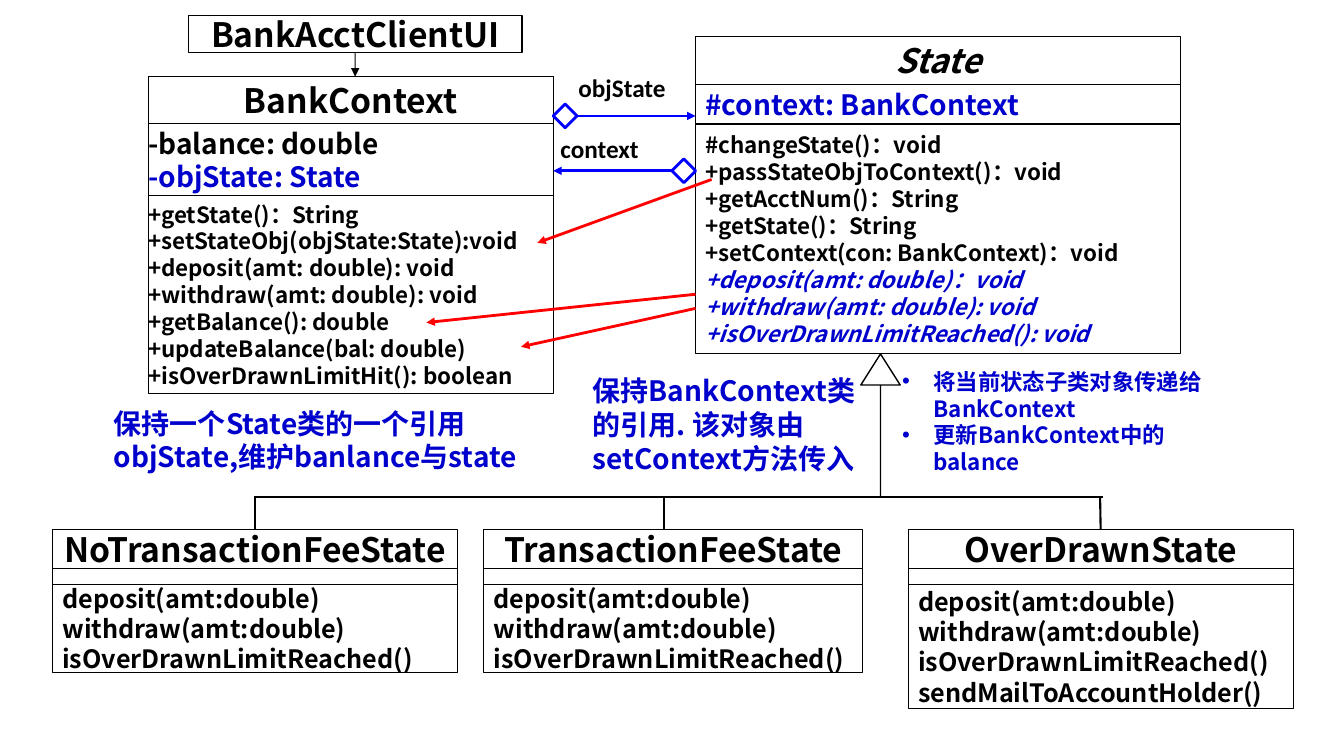
from lxml.etree import SubElement
from pptx import Presentation
from pptx.dml.color import RGBColor
from pptx.enum.shapes import MSO_CONNECTOR, MSO_SHAPE
from pptx.enum.text import MSO_ANCHOR, MSO_AUTO_SIZE, PP_ALIGN
from pptx.oxml.ns import qn
from pptx.util import Pt

COLORS = {
    "black": "000000",
    "white": "FFFFFF",
    "note": "0000CC",
    "reference": "0000FF",
    "call": "FF0000",
}
SANS = "Noto Sans CJK SC"
BOTTOM, LEFT, RIGHT, TOP = 2, 1, 3, 0
SUBCLASS_TOP = 378
BRANCH_Y = 355


def color_of(name):
    return RGBColor.from_string(COLORS[name])


def write(box, text, size, color="black", italic=False, align=PP_ALIGN.LEFT, font=SANS, bullet=False):
    frame = box.text_frame
    for line in text.split("\n"):
        para = frame.paragraphs[-1]
        if para.runs:
            para = frame.add_paragraph()
        para.alignment = align
        if bullet:
            properties = para._p.get_or_add_pPr()
            properties.set("marL", str(Pt(22.5)))
            properties.set("indent", str(-Pt(22.5)))
            SubElement(properties, qn("a:buFont"), typeface="Arial")
            SubElement(properties, qn("a:buChar"), char="•")
        span = para.add_run()
        span.text = line
        span.font.size = Pt(size)
        span.font.bold = True
        span.font.italic = italic
        span.font.color.rgb = color_of(color)
        span.font.name = font
        SubElement(span._r.get_or_add_rPr(), qn("a:ea"), typeface=font)


def add_shape(page, kind, left, top, width, height, line="black", weight=0.75):
    shape = page.shapes.add_shape(kind, Pt(left), Pt(top), Pt(width), Pt(height))
    shape.shadow.inherit = False
    shape.fill.solid()
    shape.fill.fore_color.rgb = color_of("white")
    shape.line.color.rgb = color_of(line)
    shape.line.width = Pt(weight)
    return shape


def add_compartment(page, left, top, width, height, inset=7.2):
    box = add_shape(page, MSO_SHAPE.RECTANGLE, left, top, width, height)
    frame = box.text_frame
    frame.word_wrap = False
    frame.vertical_anchor = MSO_ANCHOR.MIDDLE
    frame.margin_left = frame.margin_right = Pt(inset)
    return box


def add_class(page, name, left, top, width, heights, inset=7.2, italic=False):
    boxes = []
    for height in heights:
        boxes.append(add_compartment(page, left, top, width, height, inset))
        top += height
    write(boxes[0], name, 24, italic=italic, align=PP_ALIGN.CENTER)
    return boxes


def add_text(page, left, top, width, height, inset=7.2, padding=3.6, wrap=True, filled=False):
    box = page.shapes.add_textbox(Pt(left), Pt(top), Pt(width), Pt(height))
    frame = box.text_frame
    frame.word_wrap = wrap
    frame.auto_size = MSO_AUTO_SIZE.SHAPE_TO_FIT_TEXT
    frame.margin_left = frame.margin_right = Pt(inset)
    frame.margin_top = frame.margin_bottom = Pt(padding)
    if filled:
        box.fill.solid()
        box.fill.fore_color.rgb = color_of("white")
    return box


def add_line(page, start, end, color="black", weight=1.5, arrow=False, begin=None):
    line = page.shapes.add_connector(MSO_CONNECTOR.STRAIGHT, *map(Pt, start + end))
    line.line.color.rgb = color_of(color)
    line.line.width = Pt(weight)
    if arrow:
        SubElement(line.line._get_or_add_ln(), qn("a:tailEnd"), type="triangle")
    SubElement(line._element.spPr, qn("a:effectLst"))
    if begin:
        line.begin_connect(*begin)


def add_reference(page, diamond_left, middle, end_x, side):
    diamond = add_shape(page, MSO_SHAPE.DIAMOND, diamond_left, middle - 8.5, 17, 17, "reference", 2)
    start_x = diamond_left + (17 if side == RIGHT else 0)
    add_line(page, (start_x, middle), (end_x, middle), "reference", 2, True, (diamond, side))


def add_subclass(page, name, left, width, branch_x, methods):
    height = 88.6 if methods.count("\n") == 3 else 62.6
    header, _, body = add_class(page, name, left, SUBCLASS_TOP, width, (28.1, 11.5, height))
    write(body, methods, 18)
    centered = abs(left + width / 2 - branch_x) < 1
    add_line(page, (branch_x, SUBCLASS_TOP), (branch_x, BRANCH_Y),
             begin=(header, TOP) if centered else None)


def add_notes(page):
    state_note = add_text(page, 423.4, 263.5, 198.7, 80, inset=0, filled=True)
    write(state_note, "保持BankContext类\n的引用. 该对象由setContext方法传入", 20, "note")
    context_note = add_text(page, 74.2, 286.6, 306.7, 55.4, filled=True)
    write(context_note, "保持一个State类的一个引用objState,维护banlance与state", 20, "note")
    duties = add_text(page, 644.4, 259.2, 236.9, 85, inset=0)
    write(duties, "将当前状态子类对象传递给BankContext\n更新BankContext中的balance", 16, "note", bullet=True)


def add_context(page):
    client = add_compartment(page, 134.6, 11.3, 238.3, 26.2)
    write(client, "BankAcctClientUI", 24, align=PP_ALIGN.CENTER)
    _, fields, methods = add_class(page, "BankContext", 105.8, 54.7, 289.4, (33.8, 51.1, 141.8), inset=0)
    write(fields, "-balance: double", 20)
    write(fields, "-objState: State", 20, "note")
    write(methods, "+getState()：String\n+setStateObj(objState:State):void\n"
          "+deposit(amt: double): void\n+withdraw(amt: double): void\n"
          "+getBalance(): double\n+updateBalance(bal: double)\n"
          "+isOverDrawnLimitHit(): boolean", 16)
    add_line(page, (253.7, 37.5), (253.7, 54.7), weight=0.75, arrow=True, begin=(client, BOTTOM))


def add_state(page):
    _, field, methods = add_class(page, "State", 496.8, 25.9, 346.3, (34.6, 28.1, 164.2), italic=True)
    write(field, "#context: BankContext", 20, "note")
    write(methods, "#changeState()：void\n+passStateObjToContext()：void\n"
          "+getAcctNum()：String\n+getState()：String\n"
          "+setContext(con: BankContext)：void", 16)
    write(methods, "+deposit(amt: double)：void\n+withdraw(amt: double): void\n"
          "+isOverDrawnLimitReached(): void", 16, "note", italic=True)


def add_hierarchy(page):
    methods = "deposit(amt:double)\nwithdraw(amt:double)\nisOverDrawnLimitReached()"
    add_line(page, (181.4, BRANCH_Y), (787.7, BRANCH_Y))
    arrow = add_shape(page, MSO_SHAPE.UP_ARROW, 614.9, 252.8, 28.1, 102.2, weight=1)
    arrow.adjustments[0] = 0
    arrow.adjustments[1] = 0.79
    add_subclass(page, "NoTransactionFeeState", 37.4, 289.4, 182.1, methods)
    add_subclass(page, "TransactionFeeState", 345.6, 270.7, 474.5, methods)
    add_subclass(page, "OverDrawnState", 648.7, 275, 785.8, methods + "\nsendMailToAccountHolder()")


def main():
    deck = Presentation()
    deck.slide_width, deck.slide_height = Pt(960), Pt(540)
    page = deck.slides.add_slide(deck.slide_layouts[6])
    add_notes(page)
    add_context(page)
    add_state(page)
    add_reference(page, 395.2, 82.8, 496.8, RIGHT)
    add_reference(page, 480, 122, 395.2, LEFT)
    write(add_text(page, 406.1, 48.2, 77, 28.8, wrap=False), "objState", 18, font="Calibri")
    write(add_text(page, 400.3, 95, 78.5, 21.6, inset=0, padding=0), "context", 18, font="Calibri")
    add_hierarchy(page)
    for start, end in (
        ((496.8, 210.2), (304.6, 230.4)),
        ((496.8, 220.3), (372.2, 247.7)),
        ((508.3, 128.2), (383.8, 173.5)),
    ):
        add_line(page, start, end, "call", 2, True)
    deck.save("out.pptx")


if __name__ == "__main__":
    main()
